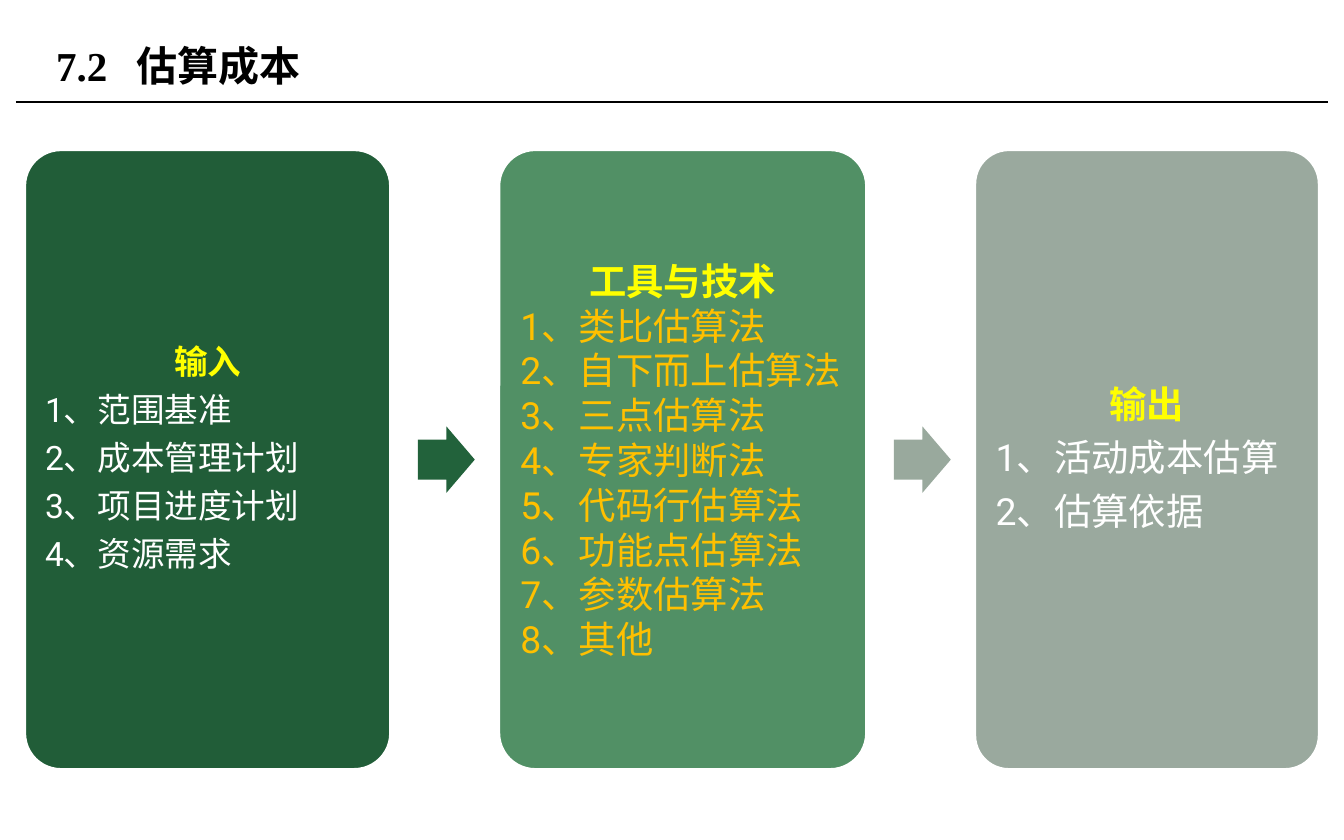
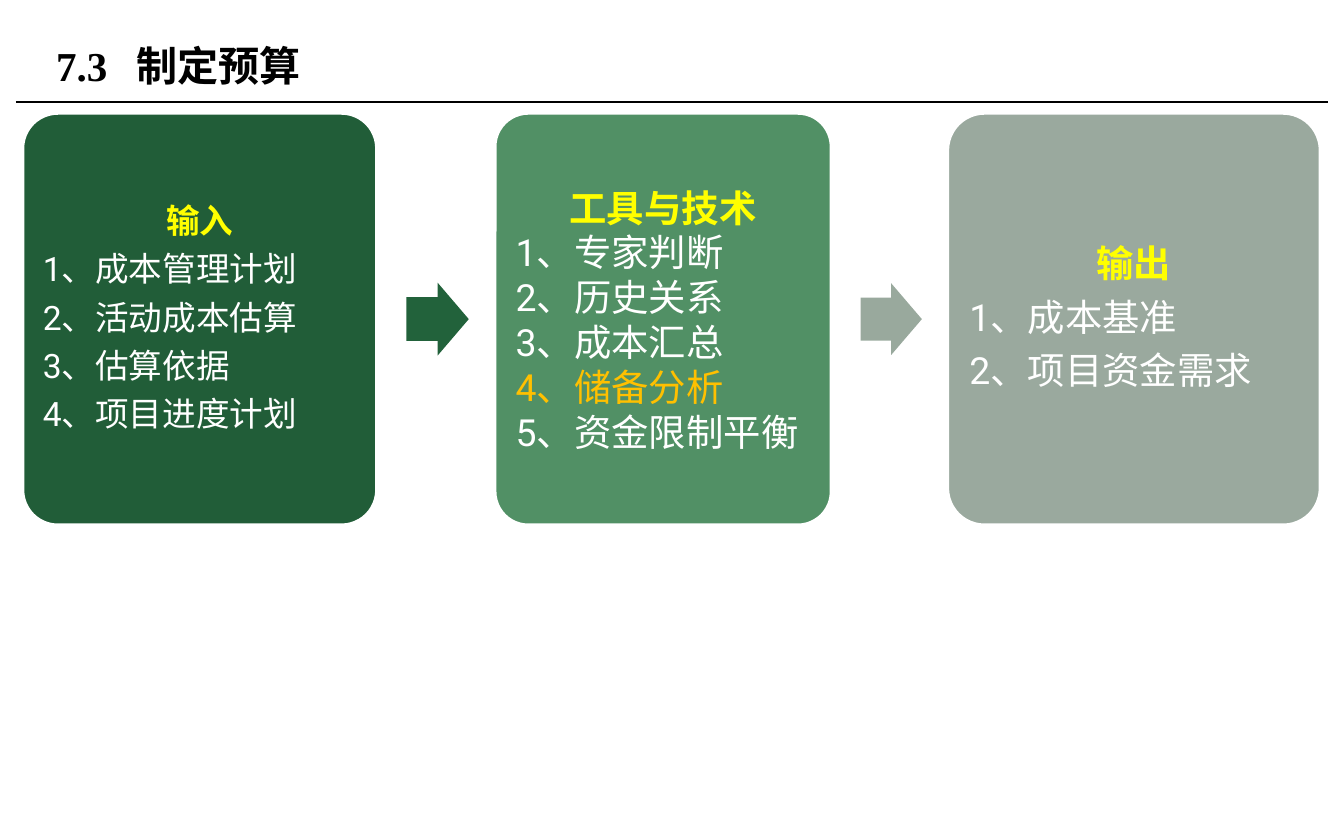
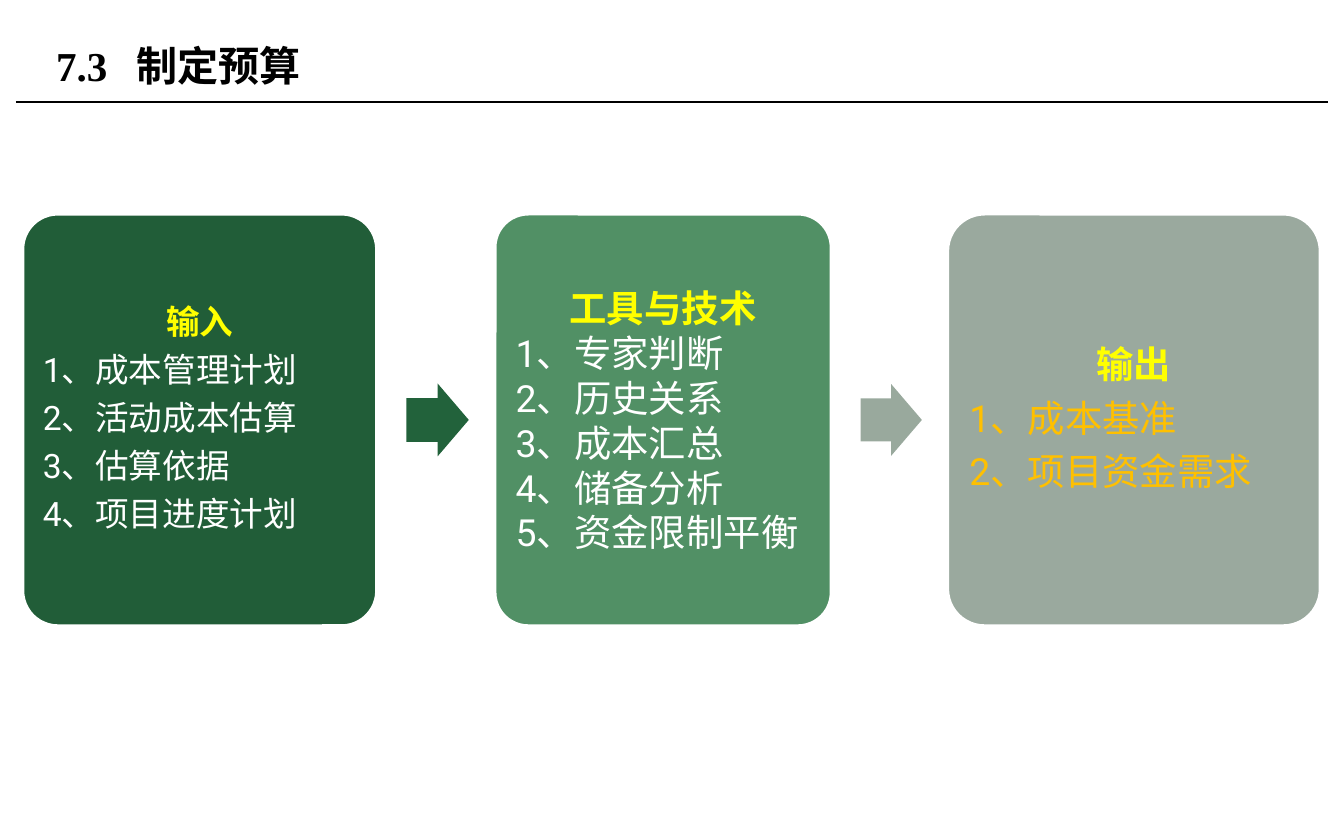
from dataclasses import dataclass

from lxml.etree import SubElement
from pptx import Presentation
from pptx.dml.color import RGBColor
from pptx.enum.shapes import MSO_CONNECTOR as Connector, MSO_SHAPE as Shape
from pptx.enum.text import MSO_ANCHOR as Anchor, PP_ALIGN as Align
from pptx.oxml.ns import qn
from pptx.util import Pt

BLACK, WHITE = "000000", "FFFFFF"
YELLOW, GOLD = "FFFF00", "FFC000"
TITLE_FONT, BODY_FONT = "Times New Roman", "Roboto"


@dataclass
class Stage:
    heading: str
    fill: str
    size: int
    line_spacing: float
    space_after: float


STAGES = [
    Stage("输入", "215D38", 18, 0.9, 0.35),
    Stage("工具与技术", "519065", 20, 1.0, 0),
    Stage("输出", "9AA99E", 20, 0.9, 0.35),
]
ARROW_FILLS = ["22623B", "99A99D"]

ESTIMATE_ITEMS = [
    ["范围基准", "成本管理计划", "项目进度计划", "资源需求"],
    ["类比估算法", "自下而上估算法", "三点估算法", "专家判断法",
     "代码行估算法", "功能点估算法", "参数估算法", "其他"],
    ["活动成本估算", "估算依据"],
]
BUDGET_ITEMS = [
    ["成本管理计划", "活动成本估算", "估算依据", "项目进度计划"],
    ["专家判断", "历史关系", "成本汇总", "储备分析", "资金限制平衡"],
    ["成本基准", "项目资金需求"],
]
ESTIMATE_COLUMNS = [(13, 196.5), (267, 197.5), (522, 185)]
BUDGET_COLUMNS = [(12, 190), (265, 180.5), (507.5, 200)]


def color(value):
    return RGBColor.from_string(value)


class Deck:
    def __init__(self):
        self.presentation = Presentation()
        self.presentation.slide_width = Pt(720)
        self.presentation.slide_height = Pt(450)
        self.slide = None

    def add_slide(self, number, title):
        layout = self.presentation.slide_layouts[6]
        self.slide = self.presentation.slides.add_slide(layout)
        self.rule(8.5, 711.5, 54.75)
        self.title(number, title)

    def rule(self, left, right, top):
        line = self.slide.shapes.add_connector(
            Connector.STRAIGHT, Pt(left), Pt(top), Pt(right), Pt(top))
        line.line.color.rgb = color(BLACK)
        line.line.width = Pt(0.75)
        SubElement(line._element.spPr, qn("a:effectLst"))

    def title(self, number, title):
        box = self.slide.shapes.add_textbox(Pt(23), Pt(9.5), Pt(459.5), Pt(51))
        text_frame = box.text_frame
        text_frame.word_wrap = True
        text_frame.vertical_anchor = Anchor.MIDDLE
        text_frame.text = f"{number}\t{title}"
        paragraph = text_frame.paragraphs[0]
        tabs = SubElement(paragraph._p.get_or_add_pPr(), qn("a:tabLst"))
        SubElement(tabs, qn("a:tab"), pos=str(Pt(43)), algn="l")
        self.style(paragraph, TITLE_FONT, 22, BLACK, True)

    def style(self, paragraph, name, size, text_color, bold=False):
        for run in paragraph.runs:
            run.font.name = name
            run.font.size = Pt(size)
            run.font.bold = bold
            run.font.color.rgb = color(text_color)

    def shape(self, kind, left, top, width, height, fill):
        shape = self.slide.shapes.add_shape(
            kind, Pt(left), Pt(top), Pt(width), Pt(height))
        shape.shadow.inherit = False
        shape.fill.solid()
        shape.fill.fore_color.rgb = color(fill)
        shape.line.fill.background()
        return shape

    def card(self, stage, items, highlights, left, top, width, height):
        card = self.shape(Shape.ROUNDED_RECTANGLE, left, top, width, height, stage.fill)
        card.adjustments[0] = 0.1
        card.line.color.rgb = color(WHITE)
        card.line.width = Pt(2)
        text_frame = card.text_frame
        text_frame.word_wrap = True
        text_frame.vertical_anchor = Anchor.MIDDLE
        margin = Pt(0.3 * stage.size)
        text_frame.margin_left = text_frame.margin_right = margin
        text_frame.margin_top = text_frame.margin_bottom = margin
        numbered = [f"{number}、{item}" for number, item in enumerate(items, 1)]
        text_frame.text = "\n".join([stage.heading, *numbered])
        for index, paragraph in enumerate(text_frame.paragraphs):
            heading = index == 0
            paragraph.alignment = Align.CENTER if heading else Align.LEFT
            paragraph.line_spacing = stage.line_spacing
            paragraph.space_after = Pt(stage.space_after * stage.size)
            item_color = GOLD if index in highlights else WHITE
            self.style(paragraph, BODY_FONT, stage.size,
                       YELLOW if heading else item_color, heading)

    def arrow(self, start, end, middle, fill):
        gap = end - start
        width = 0.53 * gap
        height = 1.17 * width
        arrow = self.shape(Shape.RIGHT_ARROW, start + 0.25 * gap,
                           middle - height / 2, width, height, fill)
        arrow.adjustments[0] = 0.6
        arrow.adjustments[1] = 0.5

    def process(self, columns, top, height, contents, highlights):
        for index, (stage, items, (left, width)) in enumerate(
                zip(STAGES, contents, columns)):
            self.card(stage, items, highlights.get(index, ()),
                      left, top, width, height)
            if index < len(ARROW_FILLS):
                self.arrow(left + width, columns[index + 1][0],
                           top + height / 2, ARROW_FILLS[index])


def main():
    deck = Deck()
    deck.add_slide("7.2", "估算成本")
    deck.process(ESTIMATE_COLUMNS, 80, 332.5, ESTIMATE_ITEMS, {1: range(1, 9)})
    for top, highlights in [(60.5, {1: [4]}), (114.5, {2: [1, 2]})]:
        deck.add_slide("7.3", "制定预算")
        deck.process(BUDGET_COLUMNS, top, 221, BUDGET_ITEMS, highlights)
    deck.presentation.save("out.pptx")


if __name__ == "__main__":
    main()
